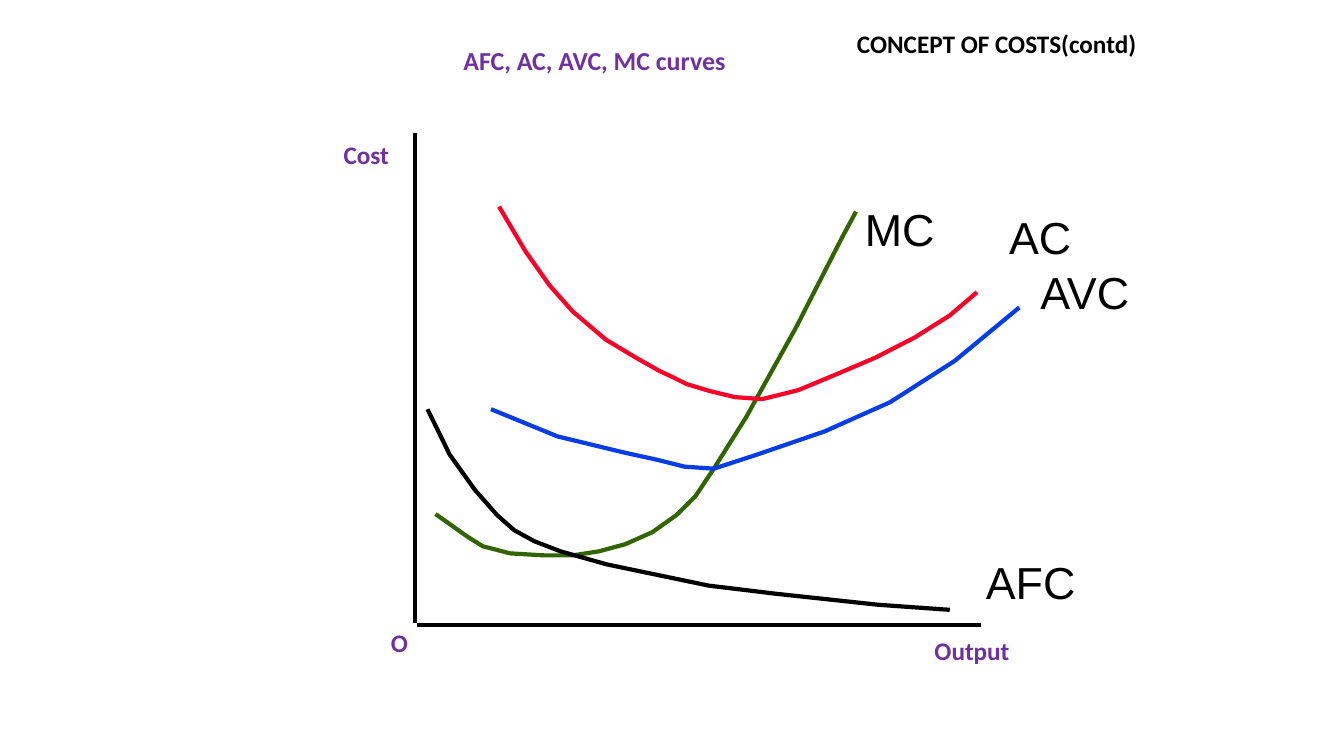
from pptx import Presentation
from pptx.dml.color import RGBColor
from pptx.enum.shapes import MSO_CONNECTOR as Connector
from pptx.enum.text import MSO_ANCHOR as Anchor, MSO_AUTO_SIZE as AutoSize, PP_ALIGN as Align
from pptx.oxml.xmlchemy import OxmlElement
from pptx.util import Inches, Pt

COLORS = {"black": "000000", "purple": "7030A0", "green": "316501",
          "blue": "063DE8", "red": "FC0128"}

CURVES = [
    ("green", [(43.2, 51), (46.3, 53.2), (47.9, 54.2), (50.6, 54.9), (54, 55.1), (56.8, 55.1),
               (59.4, 54.7), (62, 54), (64.7, 52.8), (67.1, 51.1), (69, 49.2), (70.8, 46.5),
               (74, 41.4), (78.9, 32.6), (83.5, 23.6), (84.9, 21)]),
    ("blue", [(48.7, 40.6), (55.3, 43.3), (61.9, 44.9), (65.1, 45.6), (67.9, 46.3), (70.8, 46.5),
              (75.1, 45.1), (81.8, 42.8), (88.3, 39.9), (94.7, 35.8), (101.1, 30.5)]),
    ("red", [(49.5, 20.5), (52.1, 24.9), (54.5, 28.3), (56.8, 30.9), (60.1, 33.7), (63.1, 35.5),
             (65.4, 36.8), (66.9, 37.5), (68.1, 38.1), (70.4, 38.8), (72.9, 39.4), (75.6, 39.6),
             (79.2, 38.7), (82.8, 37.2), (86.8, 35.5), (90.7, 33.5), (94.2, 31.3), (96.9, 29)]),
    ("black", [(42.4, 40.6), (44.6, 45.1), (47.1, 48.6), (49.3, 51.1), (51, 52.6), (53, 53.7),
               (55.6, 54.7), (60.2, 56), (70.3, 58.1), (76.9, 58.9), (87.1, 60), (94.2, 60.5)]),
]
CURVE_LABELS = [("MC", 84.8, 19.5), ("AVC", 102.2, 25.8), ("AC", 99.1, 20.3), ("AFC", 96.8, 54.5)]
AXIS_LABELS = [("Output", 91.7, 62.5), ("Cost", 33.1, 13.3), ("O", 37.8, 61.7)]
AXES = [((41.2, 13.2), (41.2, 61.8)), ((41.4, 62), (97.3, 62))]


class CostSlide:
    """Draws styled elements on one slide, placed on a grid of tenth-inch cells."""

    CELL = Inches(0.1)
    STROKE = Pt(3)

    def __init__(self, presentation):
        self.slide = presentation.slides.add_slide(presentation.slide_layouts[5])

    def cells(self, *values):
        return [round(value * self.CELL) for value in values]

    def stroke(self, shape, color):
        shape.line.color.rgb = RGBColor.from_string(COLORS[color])
        shape.line.width = self.STROKE

    def set_text(self, shape, text, size, color, font, bold, align):
        frame = shape.text_frame
        frame.text = text
        frame.word_wrap = True
        frame.auto_size = AutoSize.NONE
        frame.vertical_anchor = Anchor.TOP
        paragraph = frame.paragraphs[0]
        paragraph.alignment = align
        paragraph.font.name = font
        paragraph.font.size = Pt(size)
        paragraph.font.bold = bold
        paragraph.font.color.rgb = RGBColor.from_string(COLORS[color])

    def title(self, text, box):
        shape = self.slide.shapes.title
        shape.left, shape.top, shape.width, shape.height = self.cells(*box)
        self.set_text(shape, text, 18, "black", "Calibri", True, Align.RIGHT)

    def label(self, text, box, size=18, color="purple", font="Calibri", bold=True, align=Align.LEFT):
        shape = self.slide.shapes.add_textbox(*self.cells(*box))
        self.set_text(shape, text, size, color, font, bold, align)

    def axis(self, start, end):
        connector = self.slide.shapes.add_connector(Connector.STRAIGHT, *self.cells(*start, *end))
        self.stroke(connector, "black")
        connector._element.spPr.append(OxmlElement("a:effectLst"))

    def curve(self, color, points):
        start, *others = [self.cells(*point) for point in points]
        builder = self.slide.shapes.build_freeform(*start)
        builder.add_line_segments(others, close=False)
        shape = builder.convert_to_shape()
        shape.fill.background()
        self.stroke(shape, color)
        shape.shadow.inherit = False


presentation = Presentation()
presentation.slide_width, presentation.slide_height = Inches(13.33), Inches(7.5)
costs = CostSlide(presentation)

costs.title("CONCEPT OF COSTS(contd)", (81.7, 2.3, 32, 4))
costs.label("AFC, AC, AVC, MC curves", (27.3, 3.9, 63.3, 4), size=18.5, align=Align.CENTER)
for start, end in AXES:
    costs.axis(start, end)
for color, points in CURVES:
    costs.curve(color, points)
for text, left, top in CURVE_LABELS:
    costs.label(text, (left, top, 12, 6.4), size=32, color="black", font="Arial", bold=False)
for text, left, top in AXIS_LABELS:
    costs.label(text, (left, top, 10, 4))

presentation.save("out.pptx")
